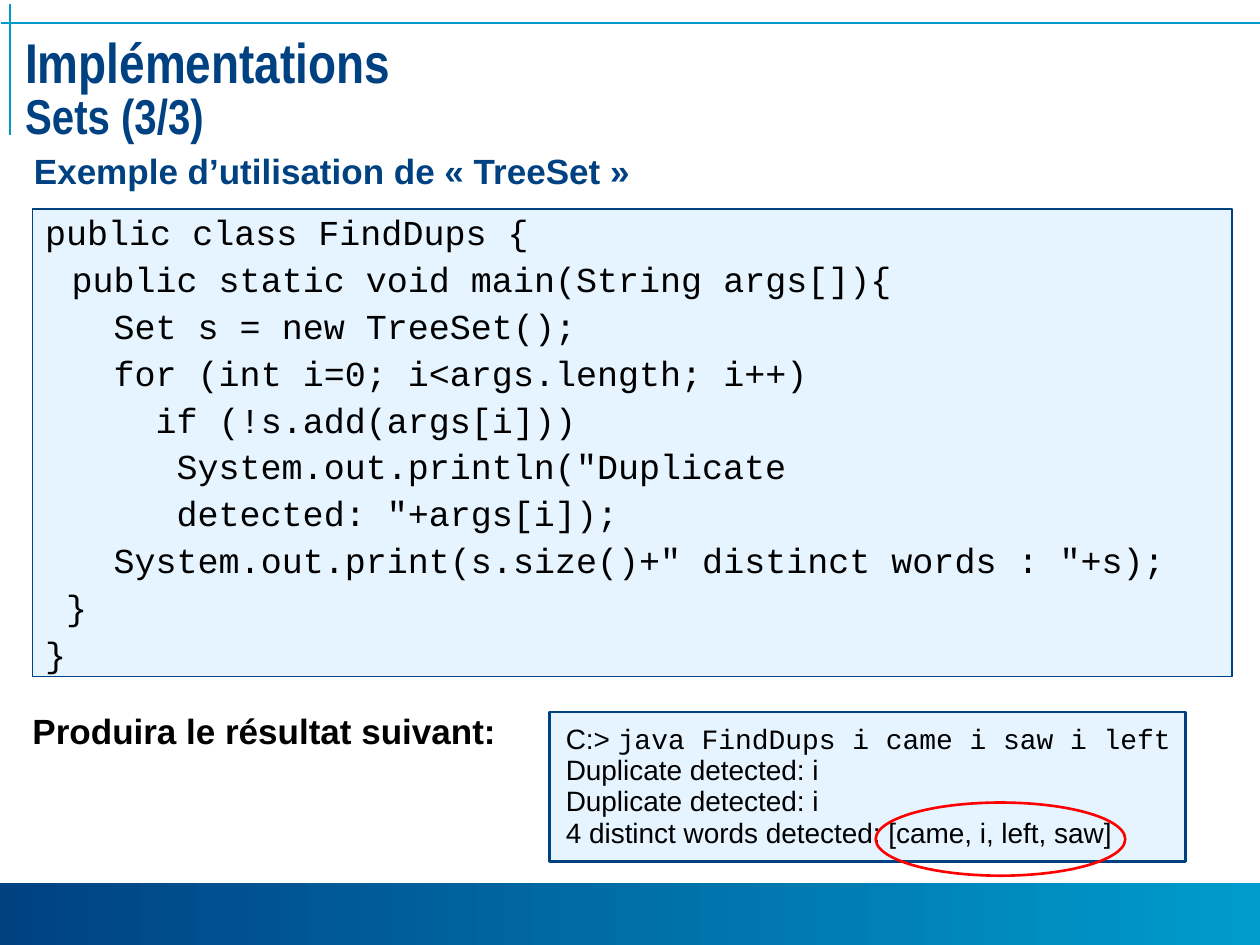
import pptx
import pptx.dml.color
import pptx.enum.dml
import pptx.enum.shapes
import pptx.enum.text
import pptx.oxml
import pptx.oxml.ns
import pptx.util

Pt = pptx.util.Pt
SHAPES = pptx.enum.shapes.MSO_SHAPE
ANCHORS = pptx.enum.text.MSO_ANCHOR
NAVY, CYAN, PALE, BLACK, RED = "004182", "009BCC", "E6F4FF", "000000", "FF0000"
SANS, NARROW, MONO = "Arial", "Arial Narrow", "Courier New"
HANGING = 15.12
TAB_STEP = 72

CODE = [
    "public class FindDups {",
    "\tpublic static void main(String args[]){",
    "\t  Set s = new TreeSet();",
    "\t  for (int i=0; i<args.length; i++)",
    "\t    if (!s.add(args[i]))",
    '\t\t  System.out.println("Duplicate',
    '\t\t  detected: "+args[i]);',
    '\t  System.out.print(s.size()+" distinct words : "+s);',
    " }",
    "}",
]


def color(value):
    return pptx.dml.color.RGBColor.from_string(value)


def apply(target, formats):
    for name, value in formats.items():
        setattr(target, name, value)


def add_xml(parent, tag, **attributes):
    element = pptx.oxml.ns.qn(tag)
    child = parent.makeelement(element, attributes)
    parent.append(child)
    return child


class SlideStyle:
    def __init__(self, deck):
        self.page = deck.slides.add_slide(deck.slide_layouts[1])

    def place(self, shape, area):
        apply(shape, dict(zip(("left", "top", "width", "height"), map(Pt, area))))

    def frame(self, shape, anchor=ANCHORS.TOP, side=7.2, edge=3.6, wrap=True):
        apply(shape.text_frame, {
            "word_wrap": wrap,
            "auto_size": pptx.enum.text.MSO_AUTO_SIZE.NONE,
            "vertical_anchor": anchor,
            "margin_left": Pt(side), "margin_right": Pt(side),
            "margin_top": Pt(edge), "margin_bottom": Pt(edge),
        })
        return shape.text_frame

    def para(self, frame, first, spacing, hanging=0, before=0):
        para = frame.paragraphs[0] if first else frame.add_paragraph()
        properties = para._p.get_or_add_pPr()
        properties.set("marL", str(Pt(hanging)))
        properties.set("indent", str(-Pt(hanging)))
        add_xml(properties, "a:buNone")
        if hanging:
            tabs = add_xml(properties, "a:tabLst")
            for stop in range(8):
                add_xml(tabs, "a:tab", pos=str(Pt(stop * TAB_STEP)), algn="l")
        apply(para, {
            "alignment": pptx.enum.text.PP_ALIGN.LEFT,
            "line_spacing": spacing,
            "space_before": Pt(0 if first else before),
            "space_after": Pt(0),
        })
        return para

    def span(self, para, text, size, font=SANS, tint=BLACK, bold=False):
        span = para.add_run()
        span.text = text
        apply(span.font, {"size": Pt(size), "name": font, "bold": bold})
        span.font.color.rgb = color(tint)

    def title(self, area, heading, subheading):
        shape = self.page.shapes.title
        self.place(shape, area)
        para = self.para(self.frame(shape, ANCHORS.MIDDLE, edge=2.9), True, 0.85)
        self.span(para, heading, 32, NARROW, NAVY, True)
        para.add_line_break()
        self.span(para, subheading, 28, NARROW, NAVY, True)

    def label(self, shape, area, text, tint):
        self.place(shape, area)
        para = self.para(self.frame(shape), True, 0.93, HANGING)
        self.span(para, text, 20, SANS, tint, True)

    def textbox(self, area, text, tint):
        shape = self.page.shapes.add_textbox(*map(Pt, area))
        self.label(shape, area, text, tint)

    def shape(self, kind, area, fill=None, line=None, width=1.0):
        shape = self.page.shapes.add_shape(kind, *map(Pt, area))
        shape.shadow.inherit = False
        if fill:
            shape.fill.solid()
            shape.fill.fore_color.rgb = color(fill)
        else:
            shape.fill.background()
        if line:
            shape.line.color.rgb = color(line)
            shape.line.width = Pt(width)
        else:
            shape.line.fill.background()
        return shape

    def gradient_bar(self, area, start, end):
        bar = self.shape(SHAPES.RECTANGLE, area)
        bar.fill.gradient()
        bar.fill.gradient_angle = 0
        for stop, position, tint in zip(bar.fill.gradient_stops, (0, 1), (start, end)):
            stop.position = position
            stop.color.rgb = color(tint)

    def rule(self, *ends):
        line = self.page.shapes.add_connector(
            pptx.enum.shapes.MSO_CONNECTOR.STRAIGHT, *map(Pt, ends))
        line.line.color.rgb = color(CYAN)
        line.line.width = Pt(1)
        add_xml(line._element.spPr, "a:effectLst")

    def code_box(self, area, lines):
        box = self.shape(SHAPES.RECTANGLE, area, PALE, NAVY, 0.75)
        frame = self.frame(box)
        for index, text in enumerate(lines):
            spacing = 0.8 if index else 0.89
            para = self.para(frame, index == 0, spacing, HANGING, 7.5)
            self.span(para, text, 20, MONO)

    def console(self, area, lines):
        box = self.shape(SHAPES.RECTANGLE, area, PALE, NAVY, 1.5)
        frame = self.frame(box, ANCHORS.MIDDLE, side=9.4, wrap=False)
        for index, spans in enumerate(lines):
            para = self.para(frame, index == 0, 0.93)
            for text, font in spans:
                self.span(para, text, 16, font)


def main():
    deck = pptx.Presentation()
    apply(deck, {"slide_width": Pt(720), "slide_height": Pt(540)})
    slide = SlideStyle(deck)

    # Footer band and corner rules
    slide.gradient_bar((0, 504.7, 720, 37.4), NAVY, CYAN)
    slide.rule(0.7, 13, 720, 13)
    slide.rule(5.8, 2.2, 5.8, 77)

    # Headings
    slide.title((7.2, 15.8, 707.8, 72.7), "Implémentations", "Sets (3/3)")
    slide.label(slide.page.placeholders[1], (12.2, 84.2, 696.2, 38.2),
                "Exemple d’utilisation de « TreeSet »", NAVY)

    # Program and its output
    slide.code_box((18.7, 119.5, 685.4, 267.1), CODE)
    slide.console((313.9, 406.8, 363.6, 85.7), [
        [("C:> ", SANS), ("java FindDups i came i saw i left", MONO)],
        [("Duplicate detected: i", SANS)],
        [("Duplicate detected: i", SANS)],
        [("4 distinct words detected: [came, i, left, saw]", SANS)],
    ])
    slide.textbox((11.5, 403.9, 290.2, 29.5), "Produira le résultat suivant:", BLACK)

    # Highlight of the sorted words
    slide.shape(SHAPES.OVAL, (500.4, 458.6, 142.6, 41.8), line=RED, width=1.5)

    deck.save("out.pptx")


if __name__ == "__main__":
    main()
